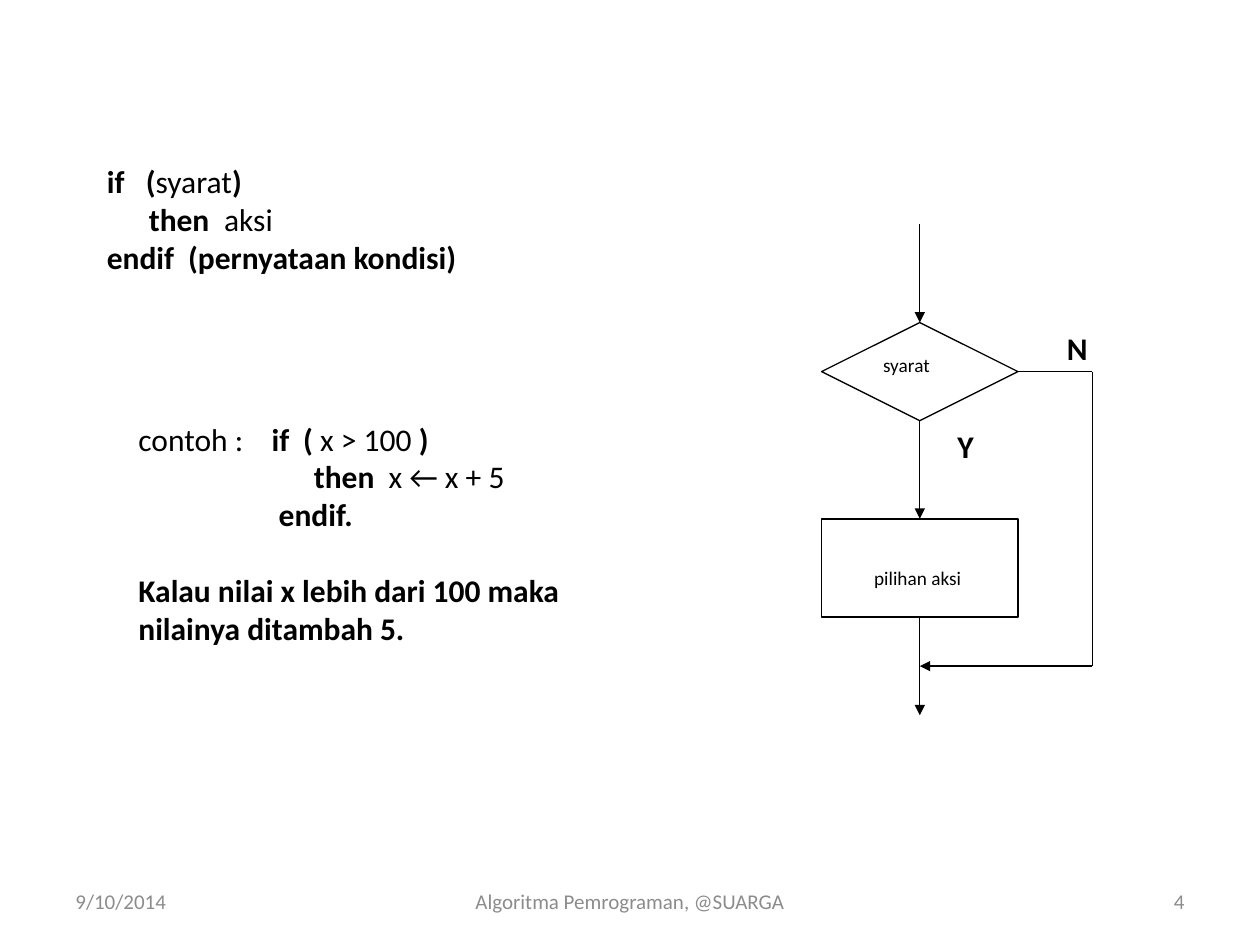
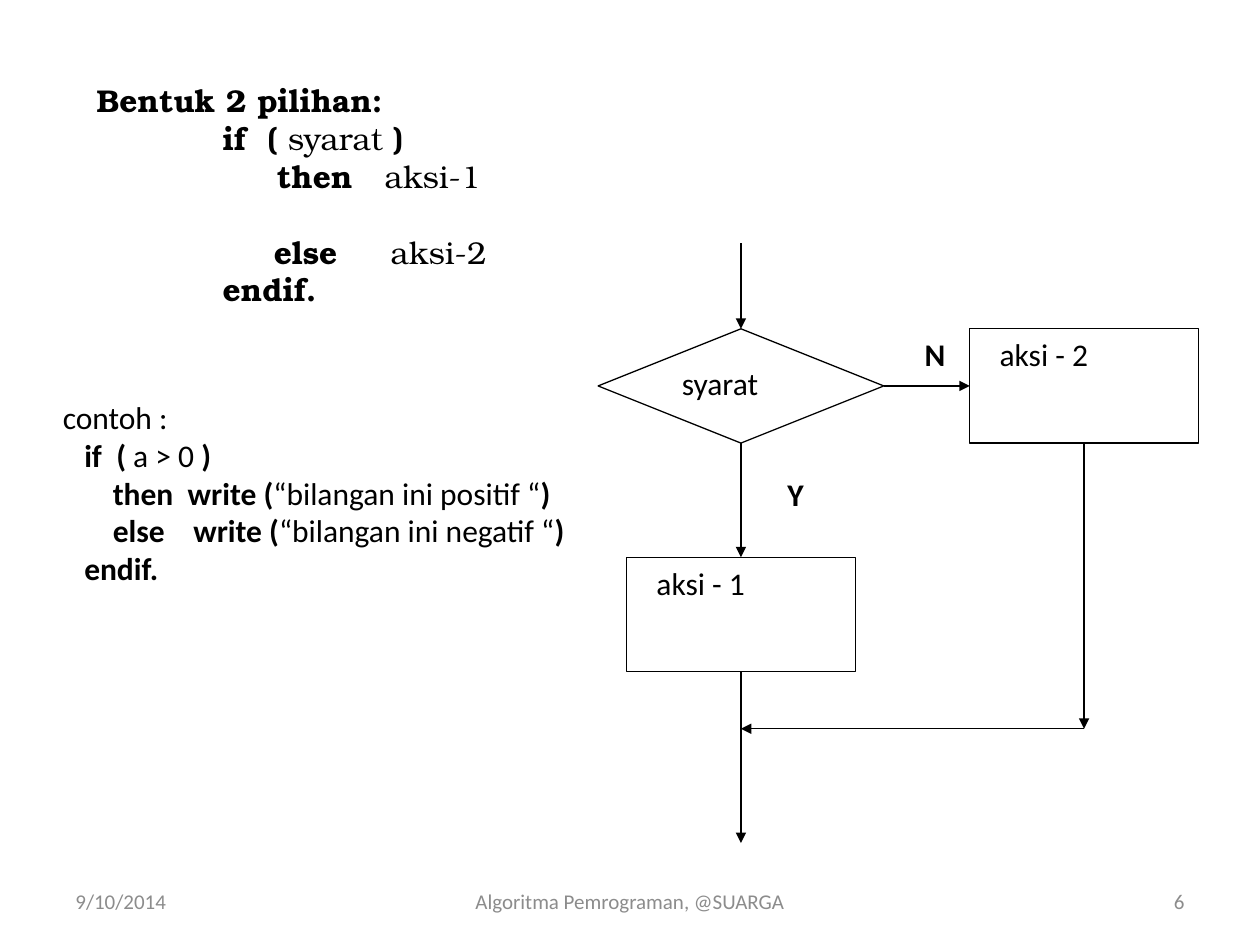
from dataclasses import dataclass
from typing import NamedTuple

from lxml import etree
from pptx import Presentation
from pptx.dml.color import RGBColor
from pptx.enum.shapes import MSO_CONNECTOR, MSO_SHAPE
from pptx.enum.text import MSO_ANCHOR, PP_ALIGN
from pptx.oxml.ns import qn
from pptx.util import Pt

DECISION = MSO_SHAPE.FLOWCHART_DECISION
PROCESS = MSO_SHAPE.FLOWCHART_PROCESS
STRAIGHT = MSO_CONNECTOR.STRAIGHT
TOP, MIDDLE = MSO_ANCHOR.TOP, MSO_ANCHOR.MIDDLE
LEFT, CENTER, RIGHT = PP_ALIGN.LEFT, PP_ALIGN.CENTER, PP_ALIGN.RIGHT


@dataclass(frozen=True)
class Theme:
    ink: RGBColor = RGBColor(0, 0, 0)
    paper: RGBColor = RGBColor(255, 255, 255)
    muted: RGBColor = RGBColor(0x8C, 0x8C, 0x8C)
    sans: str = "Calibri"
    serif: str = "TeX Gyre Bonum"
    body: float = 18
    small: float = 11
    footer: float = 12
    stroke: float = 0.75
    blank_line: float = 21.8


THEME = Theme()


class Box(NamedTuple):
    left: float
    top: float
    width: float
    height: float


class Insets(NamedTuple):
    left: float = 7.2
    top: float = 3.6
    right: float = 7.2
    bottom: float = 3.6


class Line(NamedTuple):
    text: str
    stops: tuple[float, ...] = ()
    before: float = 0


class Point(NamedTuple):
    x: float
    y: float


@dataclass(frozen=True)
class Node:
    kind: int
    label: str
    axis: float
    top: float
    width: float
    height: float
    size: float = THEME.body
    insets: Insets = Insets()

    @property
    def box(self) -> Box:
        return Box(self.axis - self.width / 2, self.top, self.width, self.height)

    @property
    def entry(self) -> Point:
        return Point(self.axis, self.top)

    @property
    def exit(self) -> Point:
        return Point(self.axis, self.top + self.height)

    @property
    def left_side(self) -> Point:
        return Point(self.axis - self.width / 2, self.top + self.height / 2)

    @property
    def right_side(self) -> Point:
        return Point(self.axis + self.width / 2, self.top + self.height / 2)


def write(frame, lines, *, size=THEME.body, font=THEME.sans, color=THEME.ink,
          align=LEFT, anchor=TOP, insets=Insets()) -> None:
    frame.word_wrap = True
    frame.vertical_anchor = anchor
    frame.margin_left, frame.margin_top, frame.margin_right, frame.margin_bottom = map(Pt, insets)
    for index, line in enumerate(lines):
        paragraph = frame.add_paragraph() if index else frame.paragraphs[0]
        paragraph.alignment = align
        paragraph.space_before = Pt(line.before)
        if line.stops:
            tabs = etree.SubElement(paragraph._p.get_or_add_pPr(), qn("a:tabLst"))
            for stop in line.stops:
                etree.SubElement(tabs, qn("a:tab"), pos=str(int(Pt(stop))), algn="l")
        for part, words in enumerate(line.text.split("*")):
            if words:
                run = paragraph.add_run()
                run.text = words
                run.font.size = Pt(size)
                run.font.name = font
                run.font.bold = part % 2 == 1
                run.font.color.rgb = color


def add_text(slide, box: Box, *lines: Line, **style) -> None:
    write(slide.shapes.add_textbox(*map(Pt, box)).text_frame, lines, **style)


def add_branch_label(slide, letter: str, left: float, top: float) -> None:
    add_text(slide, Box(left, top, 28, 29), Line(f"*{letter}*"), insets=Insets(right=0))


def add_node(slide, node: Node) -> None:
    shape = slide.shapes.add_shape(node.kind, *map(Pt, node.box))
    shape.shadow.inherit = False
    shape.fill.solid()
    shape.fill.fore_color.rgb = THEME.paper
    shape.line.color.rgb = THEME.ink
    shape.line.width = Pt(THEME.stroke)
    write(shape.text_frame, [Line(node.label)], size=node.size, insets=node.insets)


def add_flow(slide, start: Point, end: Point, arrow: bool = True) -> None:
    flow = slide.shapes.add_connector(STRAIGHT, *map(Pt, (*start, *end)))
    flow.line.color.rgb = THEME.ink
    flow.line.width = Pt(THEME.stroke)
    if arrow:
        etree.SubElement(flow.line._get_or_add_ln(), qn("a:tailEnd"), type="triangle")
    etree.SubElement(flow._element.spPr, qn("a:effectLst"))


def add_footer(slide, number: int) -> None:
    for left, width, words, align in (
        (36, 168, "9/10/2014", LEFT),
        (246, 228, "Algoritma Pemrograman, @SUARGA", CENTER),
        (516, 168, str(number), RIGHT),
    ):
        add_text(slide, Box(left, 500.4, width, 28.8), Line(words), size=THEME.footer,
                 color=THEME.muted, align=align, anchor=MIDDLE)


def build_single_choice(slide) -> None:
    axis, step, bypass = 525.6, 56.1, 624.2
    condition = Node(DECISION, "syarat", axis, 184.3, 2 * step, step, THEME.small)
    action = Node(PROCESS, "pilihan aksi", axis, condition.top + 2 * step, 2 * step, step,
                  THEME.small, Insets(left=30, top=27))
    for node in (condition, action):
        add_node(slide, node)
    merge = Point(axis, action.exit.y + step / 2)
    for y in (condition.top - step, condition.exit.y, action.exit.y):
        add_flow(slide, Point(axis, y), Point(axis, y + step))
    corner = Point(bypass, condition.right_side.y)
    turn = Point(bypass, merge.y)
    add_flow(slide, condition.right_side, corner, arrow=False)
    add_flow(slide, corner, turn, arrow=False)
    add_flow(slide, turn, merge)

    add_text(slide, Box(54, 89.3, 360, 72.7),
             Line("*if\t(*syarat*)*", (22.3,)),
             Line("\t*then*\taksi", (24, 67)),
             Line("*endif\t(pernyataan kondisi)*", (46.5,)))
    add_branch_label(slide, "N", 602.6, 184.3)
    add_branch_label(slide, "Y", 540, 240.5)
    add_text(slide, Box(72, 236.2, 306, 138.2),
             Line("contoh :\t*if\t(* x > 100 *)*", (76.2, 94.2)),
             Line("\t*then*\tx ← x + 5", (100.3, 143)),
             Line("\t*endif.*", (80.2,)),
             Line("*Kalau nilai x lebih dari 100 maka nilainya ditambah 5.*",
                  before=THEME.blank_line))


def build_double_choice(slide) -> None:
    axis, else_axis, step = 423.4, 619.5, 65.3
    action_width = 2 * step
    label_insets = Insets(left=17)
    condition = Node(DECISION, "syarat", axis, 187.9, 2.5 * step, step)
    otherwise = Node(PROCESS, "aksi - 2", else_axis, condition.top, action_width, step,
                     insets=label_insets)
    action = Node(PROCESS, "aksi - 1", axis, condition.top + 2 * step, action_width, step,
                  insets=label_insets)
    for node in (condition, otherwise, action):
        add_node(slide, node)
    merge = Point(axis, action.exit.y + step / 2)
    turn = Point(else_axis, merge.y)
    for start, end in (
        (Point(axis, condition.top - 0.75 * step), condition.entry),
        (condition.right_side, otherwise.left_side),
        (condition.exit, action.entry),
        (action.exit, Point(axis, action.exit.y + 1.5 * step)),
        (otherwise.exit, turn),
        (turn, merge),
    ):
        add_flow(slide, start, end)

    add_text(slide, Box(48.2, 36, 321.1, 133.2),
             Line("*Bentuk 2 pilihan:*"),
             Line("\t*if\t(* syarat *)*", (72, 97.7)),
             Line("\t*then*\taksi-1", (102.9, 164.6)),
             Line("\t*else*\taksi-2", (101.2, 168), THEME.blank_line),
             Line("\t*endif.*", (72,)),
             font=THEME.serif, insets=Insets(top=10.3))
    add_text(slide, Box(28.8, 223.9, 329, 138.2),
             Line("contoh :"),
             Line("\t*if\t(* a > 0 *)*", (12.3, 30.6)),
             Line("\t*then\twrite (*“bilangan ini positif “*)*", (28.6, 71.4)),
             Line("\t*else\twrite (*“bilangan ini negatif “*)*", (28.6, 74.6)),
             Line("\t*endif.*", (12.3,)))
    add_branch_label(slide, "Y", 442.8, 267.8)
    add_branch_label(slide, "N", 521.3, 187.9)


def main() -> None:
    deck = Presentation()
    deck.slide_width, deck.slide_height = Pt(720), Pt(540)
    blank = deck.slide_layouts[6]
    for number, build in ((4, build_single_choice), (6, build_double_choice)):
        slide = deck.slides.add_slide(blank)
        build(slide)
        add_footer(slide, number)
    deck.save("out.pptx")


if __name__ == "__main__":
    main()
